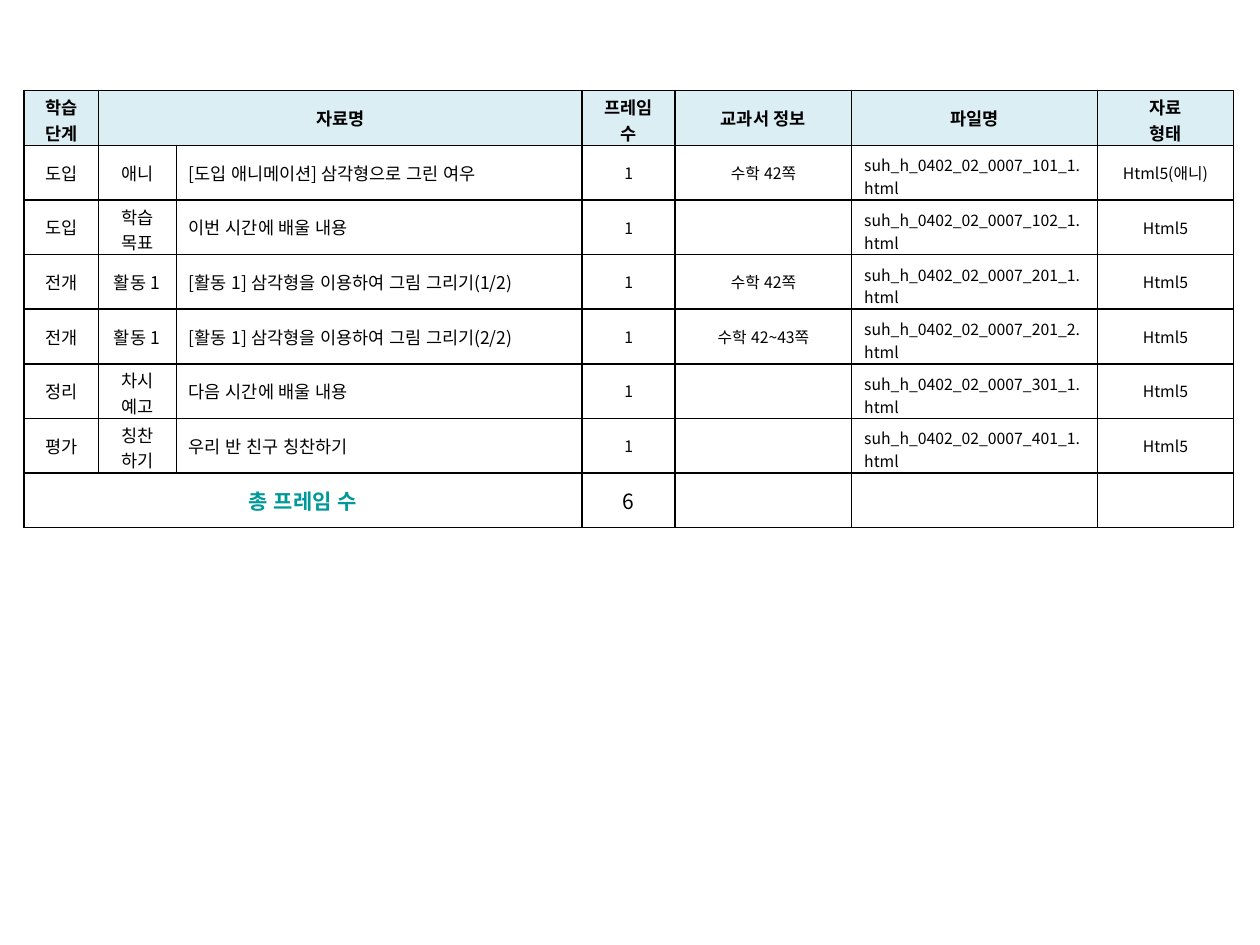
from lxml.etree import SubElement
from pptx import Presentation
from pptx.dml.color import RGBColor
from pptx.enum.lang import MSO_LANGUAGE_ID
from pptx.enum.text import MSO_ANCHOR, PP_ALIGN
from pptx.oxml import parse_xml
from pptx.oxml.ns import nsdecls, qn
from pptx.util import Inches, Pt

FONT = "Noto Sans CJK KR"
BLACK, TEAL, PALE_BLUE = "000000", "009999", "DBEEF4"

HEADER = ["학습 단계", "자료명", "", "프레임 수", "교과서 정보", "파일명", "자료\n형태"]
# stage, activity, material, textbook pages, file number, file type
MATERIALS = [
    ("도입", "애니", "[도입 애니메이션] 삼각형으로 그린 여우", "수학 42쪽", "101_1", "Html5(애니)"),
    ("도입", "학습 목표", "이번 시간에 배울 내용", "", "102_1", "Html5"),
    ("전개", "활동 1", "[활동 1] 삼각형을 이용하여 그림 그리기(1/2)", "수학 42쪽", "201_1", "Html5"),
    ("전개", "활동 1", "[활동 1] 삼각형을 이용하여 그림 그리기(2/2)", "수학 42~43쪽", "201_2", "Html5"),
    ("정리", "차시 예고", "다음 시간에 배울 내용", "", "301_1", "Html5"),
    ("평가", "칭찬\n하기", "우리 반 친구 칭찬하기", "", "401_1", "Html5"),
]
FRAMES_EACH = 1
TOTAL = ["총 프레임 수", "", "", str(FRAMES_EACH * len(MATERIALS)), "", "", ""]

COLUMN_WIDTHS = [0.59, 0.62, 3.22, 0.74, 1.4, 1.95, 1.08]
COLUMN_SIZES = [10, 10, 10, 9, 9, 9, 9]
CENTER, LEFT, JUSTIFY = PP_ALIGN.CENTER, PP_ALIGN.LEFT, PP_ALIGN.JUSTIFY
COLUMN_ALIGNS = [CENTER, CENTER, LEFT, CENTER, CENTER, JUSTIFY, CENTER]
TABLE_LEFT, TABLE_TOP, TABLE_HEIGHT = 0.19, 0.72, 3.47

# Labels that take two lines, and the top margin that keeps them in the row
TWO_LINE_LABELS = {"학습 단계", "프레임 수", "자료\n형태", "학습 목표", "차시 예고", "칭찬\n하기"}
LABEL_MARGIN, FILE_MARGIN = 0.03, 0.06


def color(hex_code):
    return RGBColor.from_string(hex_code)


def add_borders(cell):
    properties = cell._tc.get_or_add_tcPr()
    for position, side in enumerate(("lnL", "lnR", "lnT", "lnB")):
        properties.insert(position, parse_xml(
            f'<a:{side} {nsdecls("a")} w="{Pt(1)}"><a:solidFill>'
            f'<a:srgbClr val="{BLACK}"/></a:solidFill></a:{side}>'))


def fit_two_lines(cell, text):
    is_file = text.endswith(".html")
    if is_file or text in TWO_LINE_LABELS:
        cell.margin_top = Inches(FILE_MARGIN if is_file else LABEL_MARGIN)
        cell.margin_bottom = 0


def fill_cell(cell, text, align, size, bold=False, ink=BLACK, fill=None):
    cell.vertical_anchor = MSO_ANCHOR.MIDDLE
    fit_two_lines(cell, text)
    if fill:
        cell.fill.solid()
        cell.fill.fore_color.rgb = color(fill)
    else:
        cell.fill.background()
    add_borders(cell)
    cell.text_frame.text = text
    for paragraph in cell.text_frame.paragraphs:
        paragraph.alignment = align
        for run in paragraph.runs:
            run.font.size, run.font.bold, run.font.name = Pt(size), bold, FONT
            run.font.language_id = MSO_LANGUAGE_ID.KOREAN
            run.font.color.rgb = color(ink)
            SubElement(run.font._element, qn("a:ea"), typeface=FONT)
        if not paragraph.runs:
            SubElement(paragraph._p, qn("a:endParaRPr"), sz=str(size * 100))


def main():
    deck = Presentation()
    deck.slide_width, deck.slide_height = Inches(10), Inches(7.5)
    slide = deck.slides.add_slide(deck.slide_layouts[6])

    body = [
        (stage, activity, material, str(FRAMES_EACH), pages,
         f"suh_h_0402_02_0007_{number}.html", file_type)
        for stage, activity, material, pages, number, file_type in MATERIALS
    ]
    rows = [HEADER, *body, TOTAL]
    last = len(rows) - 1
    table = slide.shapes.add_table(
        len(rows), len(COLUMN_WIDTHS), Inches(TABLE_LEFT), Inches(TABLE_TOP),
        Inches(sum(COLUMN_WIDTHS)), Inches(TABLE_HEIGHT)).table
    table.first_row = table.horz_banding = False
    for column, width in zip(table.columns, COLUMN_WIDTHS):
        column.width = Inches(width)

    for r, texts in enumerate(rows):
        for c, text in enumerate(texts):
            cell = table.cell(r, c)
            if r == 0:
                fill_cell(cell, text, CENTER, 10, bold=True, fill=PALE_BLUE)
            elif r == last:
                is_label = c == 0
                fill_cell(cell, text, CENTER, 12, bold=is_label,
                          ink=TEAL if is_label else BLACK)
            else:
                fill_cell(cell, text, COLUMN_ALIGNS[c], COLUMN_SIZES[c])

    table.cell(0, 1).merge(table.cell(0, 2))
    table.cell(last, 0).merge(table.cell(last, 2))
    deck.save("out.pptx")


if __name__ == "__main__":
    main()
